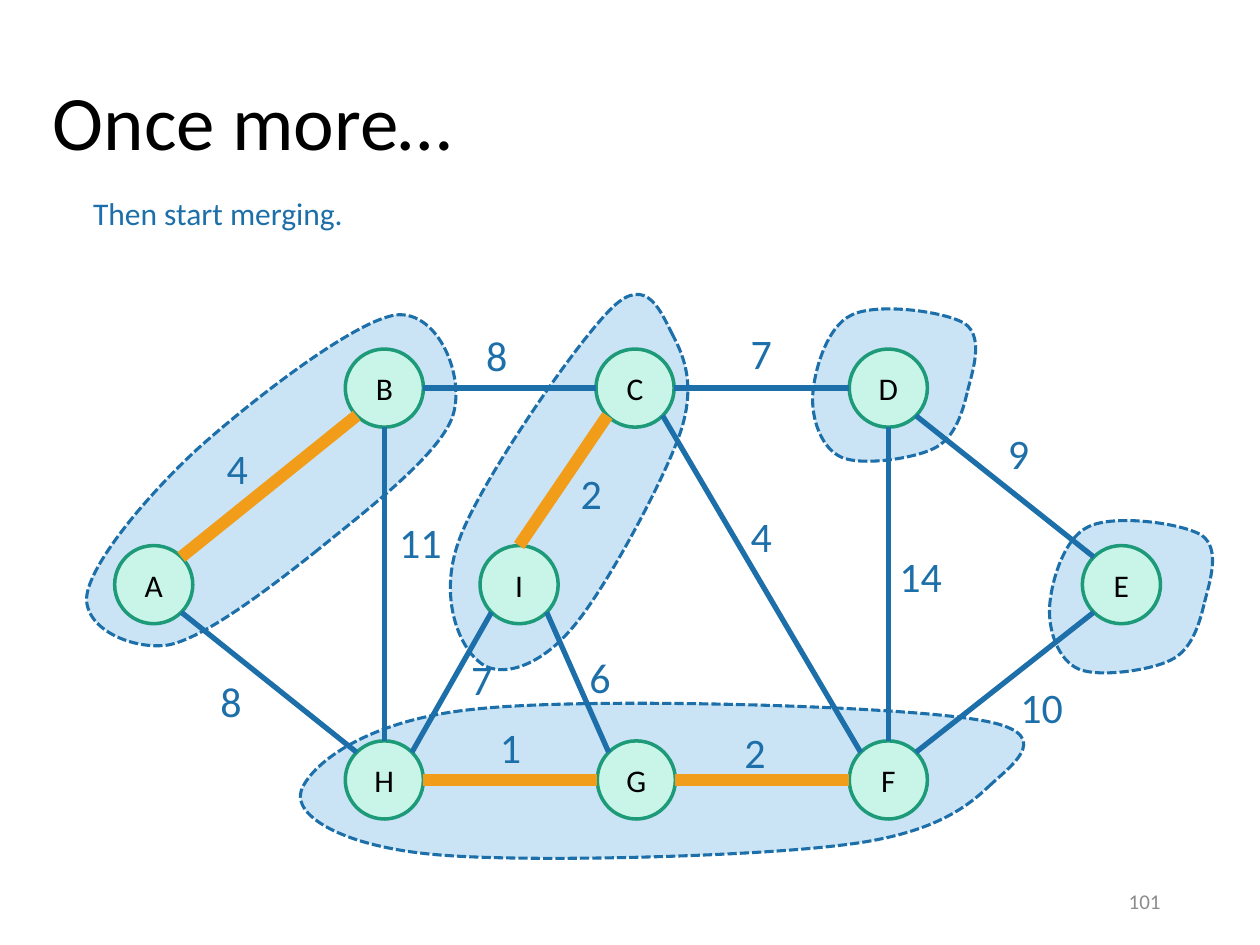
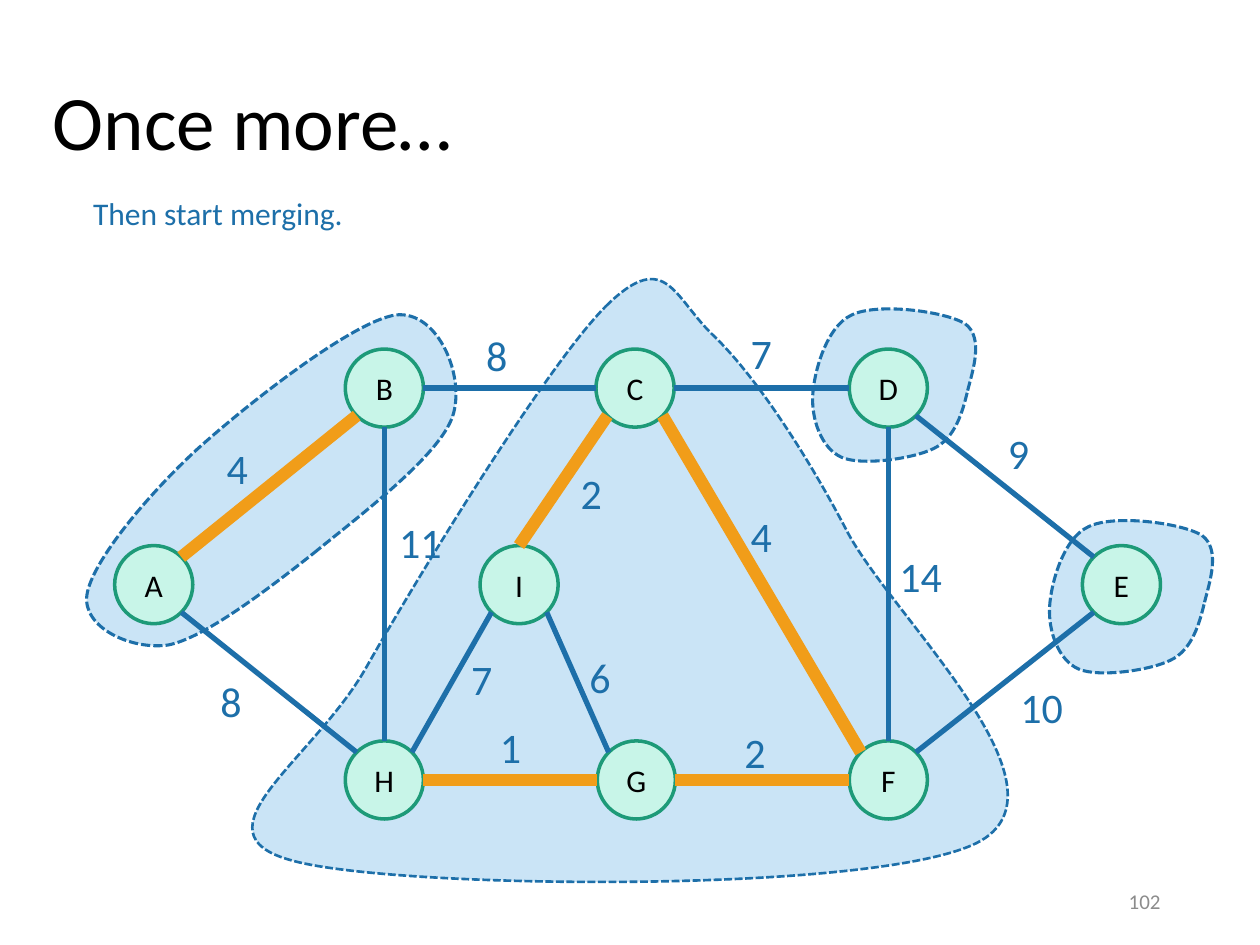
import math

import lxml.etree
import pptx
import pptx.dml.color
import pptx.enum.dml
import pptx.enum.shapes
import pptx.enum.text
import pptx.oxml.ns
import pptx.util

Inches = pptx.util.Inches
Pt = pptx.util.Pt
qn = pptx.oxml.ns.qn
ALIGN = pptx.enum.text.PP_ALIGN
ANCHOR = pptx.enum.text.MSO_ANCHOR
GROW = pptx.enum.text.MSO_AUTO_SIZE.SHAPE_TO_FIT_TEXT

FONT = "Calibri"
COLORS = {
    name: pptx.dml.color.RGBColor.from_string(value)
    for name, value in {
        "black": "000000",
        "blue": "1D6FA9",
        "cluster": "CAE4F6",
        "node": "C8F5E8",
        "ring": "1D9A78",
        "chosen": "F19D19",
        "gray": "8C8C8C",
    }.items()
}

# Graph: node centres, then edges as (from, side, to, side, weight, label left, label top)
NODE_SIZE = 0.62
TOP_ROW, MIDDLE_ROW, BOTTOM_ROW = 3.08, 4.64, 6.19
NODES = {
    "D": (7.05, TOP_ROW), "C": (5.04, TOP_ROW), "B": (3.05, TOP_ROW),
    "A": (1.22, MIDDLE_ROW), "H": (3.05, BOTTOM_ROW), "G": (5.05, BOTTOM_ROW),
    "F": (7.05, BOTTOM_ROW), "I": (4.12, MIDDLE_ROW), "E": (8.9, MIDDLE_ROW),
}
EDGES = [
    ("C", "SE", "F", "NW", 4, 5.86, 4.0),
    ("C", "E", "D", "W", 7, 5.86, 2.55),
    ("E", "NW", "D", "SE", 9, 7.9, 3.34),
    ("E", "SW", "F", "NE", 10, 8.0, 5.36),
    ("D", "S", "F", "N", 14, 7.04, 4.32),
    ("I", "SE", "G", "NW", 6, 4.58, 5.12),
    ("G", "E", "F", "W", 2, 5.81, 5.72),
    ("I", "N", "C", "SW", 2, 4.51, 3.66),
    ("B", "E", "C", "W", 8, 3.76, 2.57),
    ("A", "NE", "B", "SW", 4, 1.7, 3.46),
    ("A", "SE", "H", "NW", 8, 1.65, 5.31),
    ("G", "W", "H", "E", 1, 3.87, 5.68),
    ("I", "SW", "H", "NE", 7, 3.64, 5.14),
    ("H", "N", "B", "S", 11, 3.07, 4.05),
]
RADIUS = NODE_SIZE / 2
DIAGONAL = RADIUS / 2 ** 0.5
SIDES = {
    "N": (0, -RADIUS), "S": (0, RADIUS), "W": (-RADIUS, 0), "E": (RADIUS, 0),
    "NW": (-DIAGONAL, -DIAGONAL), "NE": (DIAGONAL, -DIAGONAL),
    "SW": (-DIAGONAL, DIAGONAL), "SE": (DIAGONAL, DIAGONAL),
}

# Clusters: frame, rotation, and a start point followed by three Bezier points per curve
CLUSTERS = {
    "D": ((6.45, 2.45, 1.29, 1.21), 0, [
        (7.68, 3.1), (7.72, 2.94), (7.81, 2.68), (7.66, 2.57),
        (7.5, 2.47), (6.96, 2.4), (6.76, 2.5),
        (6.56, 2.59), (6.46, 2.95), (6.45, 3.14),
        (6.44, 3.33), (6.52, 3.56), (6.68, 3.63),
        (6.84, 3.7), (7.25, 3.64), (7.41, 3.56),
        (7.58, 3.48), (7.64, 3.27), (7.68, 3.1)]),
    "CI": ((2.97, 3.26, 3.17, 1.21), 301.5, [
        (5.34, 2.66), (5.25, 2.49), (5.14, 2.17), (4.86, 2.44),
        (4.58, 2.71), (3.82, 3.81), (3.65, 4.27),
        (3.47, 4.74), (3.65, 5.13), (3.8, 5.25),
        (3.94, 5.38), (4.24, 5.32), (4.51, 5.02),
        (4.78, 4.73), (5.25, 3.85), (5.39, 3.46),
        (5.53, 3.07), (5.43, 2.83), (5.34, 2.66)]),
    "AB": ((1.54, 2.11, 1.29, 3.53), 46.6, [
        (2.49, 4.39), (2.87, 4.08), (3.48, 3.62), (3.59, 3.31),
        (3.7, 3), (3.48, 2.46), (3.14, 2.5),
        (2.8, 2.55), (1.97, 3.2), (1.56, 3.57),
        (1.16, 3.94), (0.73, 4.46), (0.69, 4.72),
        (0.65, 4.98), (1.04, 5.16), (1.33, 5.12),
        (1.61, 5.07), (2.11, 4.69), (2.49, 4.39)]),
    "HGF": ((2.39, 5.58, 5.74, 1.23), 0, [
        (7.85, 6.24), (8.03, 6.07), (8.42, 5.81), (7.74, 5.71),
        (7.06, 5.6), (4.65, 5.53), (3.76, 5.63),
        (2.87, 5.72), (2.45, 6.09), (2.39, 6.28),
        (2.33, 6.47), (2.7, 6.71), (3.42, 6.78),
        (4.13, 6.85), (5.93, 6.8), (6.66, 6.71),
        (7.39, 6.63), (7.67, 6.41), (7.85, 6.24)]),
    "CIHGF": ((2, 2.21, 6, 4.79), 0, [
        (4.83, 2.41), (4.37, 2.85), (3.32, 4.57), (2.9, 5.31),
        (2.48, 6.04), (1.5, 6.61), (2.32, 6.83),
        (3.14, 7.06), (7.06, 7.1), (7.79, 6.67),
        (8.53, 6.23), (7.09, 4.9), (6.73, 4.23),
        (6.38, 3.56), (5.98, 2.97), (5.67, 2.67),
        (5.35, 2.37), (5.29, 1.97), (4.83, 2.41)]),
}
(left, top, width, height), _, outline = CLUSTERS["D"]
CLUSTERS["E"] = (
    (left + 1.88, top + 1.68, width, height), 0,
    [(x + 1.88, y + 1.68) for x, y in outline])

# Page number, clusters from back to front, edges chosen so far
STEPS = [
    (101, ["E", "D", "CI", "AB", "HGF"], {"GF", "IC", "AB", "GH"}),
    (102, ["CIHGF", "E", "D", "AB"], {"GF", "IC", "AB", "GH", "CF"}),
]


def write(shape, text, size, color, align=ALIGN.LEFT, anchor=ANCHOR.TOP):
    """Put one styled paragraph in the shape and return it."""
    frame = shape.text_frame
    frame.word_wrap = True
    frame.vertical_anchor = anchor
    frame.text = text
    para = frame.paragraphs[0]
    para.alignment = align
    font = para.runs[0].font
    font.name, font.size = FONT, Pt(size)
    font.color.rgb = COLORS[color]
    return para


def add_curved_freeform(shapes, frame, rotation, outline):
    """Add a closed Bezier outline, given in page inches, as one rotated freeform."""
    left, top, width, height = frame
    middle_x, middle_y = left + width / 2, top + height / 2
    cos, sin = math.cos(math.radians(rotation)), math.sin(math.radians(rotation))
    points = []
    for x, y in outline:
        dx, dy = x - middle_x, y - middle_y
        points.append((Inches(width / 2 + dx * cos + dy * sin),
                       Inches(height / 2 - dx * sin + dy * cos)))

    builder = shapes.build_freeform(*points[0])
    builder.add_line_segments(points[3::3], close=True)
    shape = builder.convert_to_shape()
    shape.left, shape.top = Inches(left), Inches(top)
    shape.width, shape.height = Inches(width), Inches(height)
    shape.rotation = rotation

    route = next(shape.element.spPr.iter(qn("a:path")))
    route.clear()
    route.set("w", str(shape.width))
    route.set("h", str(shape.height))
    curves = [points[i:i + 3] for i in range(1, len(points), 3)]
    for tag, stops in [("a:moveTo", points[:1])] + [("a:cubicBezTo", c) for c in curves]:
        move = lxml.etree.SubElement(route, qn(tag))
        for x, y in stops:
            lxml.etree.SubElement(move, qn("a:pt"), x=str(int(x)), y=str(int(y)))
    lxml.etree.SubElement(route, qn("a:close"))
    return shape


deck = pptx.Presentation()
deck.slide_width, deck.slide_height = Inches(10), Inches(7.5)

for number, clusters, chosen in STEPS:
    page = deck.slides.add_slide(deck.slide_layouts[6])
    shapes = page.shapes

    for cluster in clusters:
        blob = add_curved_freeform(shapes, *CLUSTERS[cluster])
        blob.shadow.inherit = False
        blob.fill.solid()
        blob.fill.fore_color.rgb = COLORS["cluster"]
        blob.line.color.rgb = COLORS["blue"]
        blob.line.width = Pt(1.5 if cluster == "CIHGF" else 1.75)
        blob.line.dash_style = pptx.enum.dml.MSO_LINE.SQUARE_DOT

    title = shapes.add_textbox(Inches(0.32), Inches(0.04), Inches(9.72), Inches(1.91))
    write(title, "Once more…", 44, "black", anchor=ANCHOR.MIDDLE).line_spacing = 0.9

    for name, (x, y) in NODES.items():
        node = shapes.add_shape(
            pptx.enum.shapes.MSO_SHAPE.OVAL, Inches(x - RADIUS), Inches(y - RADIUS),
            Inches(NODE_SIZE), Inches(NODE_SIZE))
        node.shadow.inherit = False
        node.fill.solid()
        node.fill.fore_color.rgb = COLORS["node"]
        node.line.color.rgb = COLORS["ring"]
        node.line.width = Pt(2)
        write(node, name, 18, "black", ALIGN.CENTER, ANCHOR.MIDDLE)

    for start, start_side, end, end_side, *_ in EDGES:
        ends = [
            Inches(center + offset)
            for name, side in ((start, start_side), (end, end_side))
            for center, offset in zip(NODES[name], SIDES[side])
        ]
        edge = shapes.add_connector(pptx.enum.shapes.MSO_CONNECTOR.STRAIGHT, *ends)
        is_chosen = start + end in chosen
        edge.line.color.rgb = COLORS["chosen" if is_chosen else "blue"]
        edge.line.width = Pt(7 if is_chosen else 3)
        lxml.etree.SubElement(edge.element.spPr, qn("a:effectLst"))

    for *_, weight, left, top in EDGES:
        label = shapes.add_textbox(Inches(left), Inches(top), Inches(0.86), Inches(0.5))
        write(label, str(weight), 24, "blue")
        label.text_frame.auto_size = GROW

    caption = shapes.add_textbox(Inches(0.64), Inches(1.49), Inches(4.54), Inches(0.4))
    write(caption, "Then start merging.", 18, "blue")
    caption.text_frame.auto_size = GROW
    footer = shapes.add_textbox(Inches(7.06), Inches(6.95), Inches(2.25), Inches(0.4))
    write(footer, str(number), 12, "gray", ALIGN.RIGHT, ANCHOR.MIDDLE)

deck.save("out.pptx")
